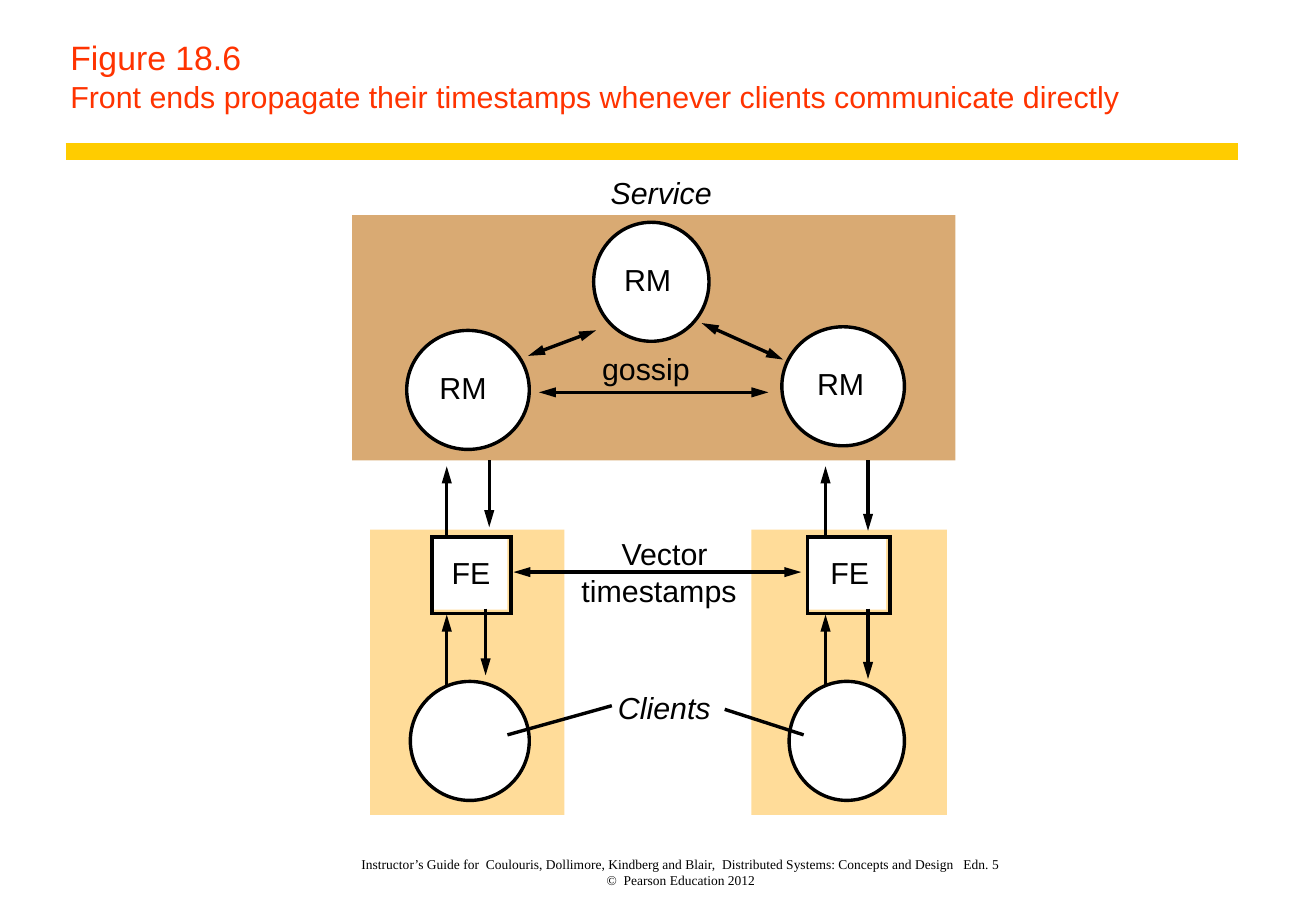
from dataclasses import dataclass

from lxml.etree import SubElement
from pptx import Presentation
from pptx.dml.color import RGBColor
from pptx.enum.shapes import MSO_CONNECTOR, MSO_SHAPE
from pptx.enum.text import MSO_ANCHOR, MSO_AUTO_SIZE, PP_ALIGN
from pptx.oxml.ns import qn
from pptx.util import Emu, Pt

PX = 9144  # one px is a hundredth of an inch


@dataclass(frozen=True)
class Theme:
    title: str = "FF3300"
    rule: str = "FFCC00"
    service: str = "D9AA73"
    client: str = "FFDC99"
    ink: str = "000000"
    paper: str = "FFFFFF"
    sans: str = "Arial"
    serif: str = "Times New Roman"
    heading_size: int = 20
    body_size: int = 18
    footer_size: int = 8
    line_width: int = 2
    rule_width: int = 10


class Figure:
    def __init__(self, slide, theme):
        self.slide = slide
        self.theme = theme

    def place(self, *lengths):
        return [Emu(length * PX) for length in lengths]

    def run(self, paragraph, text, size, color, font=None, italic=False):
        run = paragraph.add_run()
        run.text = text
        run.font.name = font or self.theme.sans
        run.font.size = Pt(size)
        run.font.italic = italic
        run.font.color.rgb = RGBColor.from_string(color)

    def frame(self, shape, margins, anchor):
        frame = shape.text_frame
        frame.word_wrap = True
        frame.auto_size = MSO_AUTO_SIZE.NONE
        frame.vertical_anchor = anchor
        (frame.margin_left, frame.margin_top,
         frame.margin_right, frame.margin_bottom) = self.place(*margins)
        return frame.paragraphs[0]

    def title(self, box, heading, caption):
        shape = self.slide.shapes.title
        shape.left, shape.top, shape.width, shape.height = self.place(*box)
        paragraph = self.frame(shape, (10, 6, 14, 6), MSO_ANCHOR.BOTTOM)
        paragraph.alignment = PP_ALIGN.LEFT
        self.run(paragraph, heading, self.theme.heading_size, self.theme.title)
        paragraph.add_line_break()
        self.run(paragraph, caption, self.theme.body_size, self.theme.title)

    def footer(self, box, lines):
        shape = self.slide.shapes.add_textbox(*self.place(*box))
        paragraph = self.frame(shape, (0, 0, 0, 0), MSO_ANCHOR.BOTTOM)
        paragraph.alignment = PP_ALIGN.CENTER
        for index, line in enumerate(lines):
            if index:
                paragraph.add_line_break()
            self.run(paragraph, line, self.theme.footer_size, self.theme.ink, self.theme.serif)

    def label(self, box, text, italic=False):
        shape = self.slide.shapes.add_textbox(*self.place(*box))
        paragraph = self.frame(shape, (0, 0, 0, 0), MSO_ANCHOR.TOP)
        paragraph.alignment = PP_ALIGN.LEFT
        self.run(paragraph, text, self.theme.body_size, self.theme.ink, italic=italic)

    def shape(self, kind, box, fill=None, outlined=False):
        shape = self.slide.shapes.add_shape(kind, *self.place(*box))
        shape.shadow.inherit = False
        if fill:
            shape.fill.solid()
            shape.fill.fore_color.rgb = RGBColor.from_string(fill)
        else:
            shape.fill.background()
        if outlined:
            shape.line.color.rgb = RGBColor.from_string(self.theme.ink)
            shape.line.width = Pt(self.theme.line_width)
            SubElement(shape._element.spPr.find(qn("a:ln")), qn("a:miter"), lim="800000")
        else:
            shape.line.fill.background()

    def circle(self, box):
        self.shape(MSO_SHAPE.OVAL, box, self.theme.paper, outlined=True)

    def line(self, ends, color=None, width=None, heads=()):
        connector = self.slide.shapes.add_connector(MSO_CONNECTOR.STRAIGHT, *self.place(*ends))
        connector.line.color.rgb = RGBColor.from_string(color or self.theme.ink)
        connector.line.width = Pt(width or self.theme.line_width)
        properties = connector._element.spPr
        for head in heads:
            SubElement(properties.find(qn("a:ln")), qn(head), type="triangle", w="med", len="lg")
        SubElement(properties, qn("a:effectLst"))

    def arrow(self, ends):
        self.line(ends, heads=("a:tailEnd",))

    def double_arrow(self, ends):
        self.line(ends, heads=("a:headEnd", "a:tailEnd"))


def main():
    presentation = Presentation()
    presentation.slide_width = Emu(1084 * PX)
    presentation.slide_height = Emu(750 * PX)
    theme = Theme()
    figure = Figure(presentation.slides.add_slide(presentation.slide_layouts[5]), theme)

    # Title, rule and footer
    figure.title((48, 0, 972, 100), "Figure 18.6",
                 "Front ends propagate their timestamps whenever clients communicate directly")
    figure.line((54, 125, 1020, 125), theme.rule, theme.rule_width)
    figure.footer((231, 692, 660, 39), (
        "Instructor’s Guide for  Coulouris, Dollimore, Kindberg and Blair,  "
        "Distributed Systems: Concepts and Design   Edn. 5",
        "©  Pearson Education 2012"))

    # Background panels
    for box, color in (((305, 436, 160, 235), theme.client),
                       ((619, 436, 161, 235), theme.client),
                       ((290, 177, 497, 202), theme.service)):
        figure.shape(MSO_SHAPE.RECTANGLE, box, color)

    # Front end and client columns: left edge and width of each part
    for front_left, front_width, label_left, client_left, client_width in (
            (356, 62, 372, 338, 98), (665, 65, 684, 650, 95)):
        figure.shape(MSO_SHAPE.RECTANGLE, (front_left, 442, front_width, 60), theme.paper)
        figure.shape(MSO_SHAPE.RECTANGLE, (front_left, 442, front_width + 3, 63), outlined=True)
        figure.label((label_left, 456, 40, 30), "FE")
        figure.circle((client_left, 561, client_width, 98))

    # Replica managers
    for left, top, width, label_left in (
            (335, 272, 101, 362), (644, 269, 101, 673), (489, 183, 95, 514)):
        figure.circle((left, top, width, 98))
        figure.label((label_left, top + 32, 48, 30), "RM")

    # Requests go up and replies come down
    for x, bottom in ((368, 566), (680, 564)):
        figure.arrow((x, 442, x, 384))
        figure.arrow((x, bottom, x, 506))
    for x, top, tip in ((403, 379, 434), (715, 379, 437), (400, 501, 556), (715, 501, 559)):
        figure.arrow((x, top, x, tip))

    # Gossip and timestamp exchange
    for ends in ((435, 293, 491, 272), (578, 266, 645, 296),
                 (444, 323, 633, 323), (423, 471, 660, 471)):
        figure.double_arrow(ends)

    # Pointers to the clients
    for ends in ((418, 605, 504, 581), (662, 605, 597, 584)):
        figure.line(ends)

    # Labels, each box a little wider than its word
    for box, text, italic in (
            ((503, 143, 96, 30), "Service", True),
            ((496, 288, 84, 30), "gossip", False),
            ((512, 441, 84, 30), "Vector", False),
            ((479, 471, 140, 30), "timestamps", False),
            ((509, 567, 88, 30), "Clients", True)):
        figure.label(box, text, italic)

    presentation.save("out.pptx")


if __name__ == "__main__":
    main()
